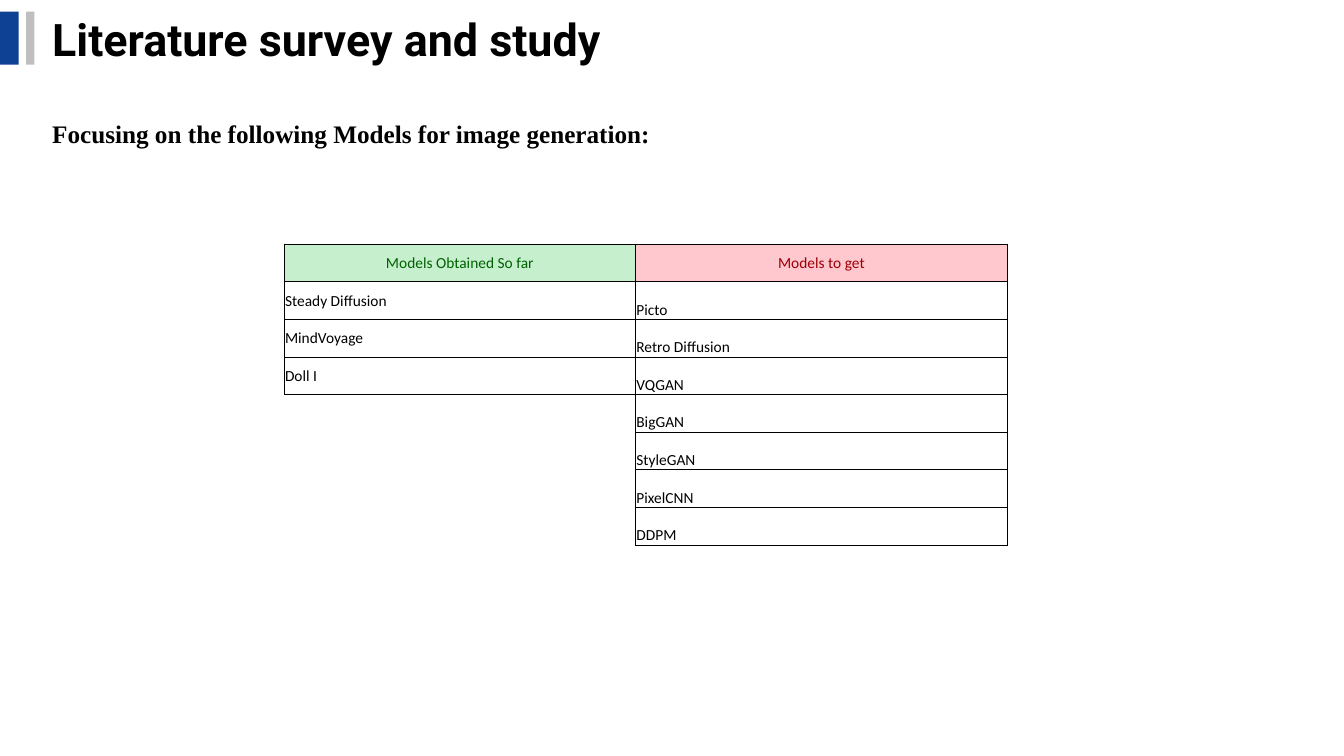
from lxml import etree
from pptx import Presentation
from pptx.dml.color import RGBColor
from pptx.enum.shapes import MSO_SHAPE
from pptx.enum.text import MSO_ANCHOR, PP_ALIGN
from pptx.oxml.ns import qn
from pptx.util import Pt

RECTANGLE = MSO_SHAPE.RECTANGLE
TOP, MIDDLE, BOTTOM = MSO_ANCHOR.TOP, MSO_ANCHOR.MIDDLE, MSO_ANCHOR.BOTTOM
CENTER = PP_ALIGN.CENTER


def color(hex_value):
    return RGBColor.from_string(hex_value)


def add_run(paragraph, text, size, font, hex_value, bold=False):
    run = paragraph.add_run()
    run.text = text
    run.font.size = Pt(size)
    run.font.name = font
    run.font.bold = bold
    run.font.color.rgb = color(hex_value)


prs = Presentation()
prs.slide_width = Pt(960)
prs.slide_height = Pt(540)
slide = prs.slides.add_slide(prs.slide_layouts[6])

for left, width, fill in [(0, 13.4, "0E4094"), (18.7, 5.9, "BFBFBF")]:
    accent = slide.shapes.add_shape(RECTANGLE, Pt(left), Pt(8.3), Pt(width), Pt(37.9))
    accent.shadow.inherit = False
    accent.fill.solid()
    accent.fill.fore_color.rgb = color(fill)
    accent.line.fill.background()

headings = [
    ("Literature survey and study", 4.3, 740, 46, 32, "Roboto", MIDDLE),
    ("Focusing on the following Models for image generation:",
     80.8, 497, 29, 18, "Times New Roman", TOP),
]
for text, top, width, height, size, font, anchor in headings:
    heading = slide.shapes.add_textbox(Pt(30.2), Pt(top), Pt(width), Pt(height)).text_frame
    heading.word_wrap = True
    heading.vertical_anchor = anchor
    add_run(heading.paragraphs[0], text, size, font, "000000", True)

obtained = ["Models Obtained So far", "Steady Diffusion", "MindVoyage", "Doll I"]
to_get = ["Models to get", "Picto", "Retro Diffusion", "VQGAN", "BigGAN", "StyleGAN",
          "PixelCNN", "DDPM"]
columns = [
    (obtained, 251, "C6EFCE", "006100", MIDDLE),
    (to_get, 265.6, "FFC7CE", "9C0006", BOTTOM),
]
row_height = 26.88

models = slide.shapes.add_table(
    len(to_get), 2, Pt(203), Pt(174.3), Pt(516.6), Pt(row_height * len(to_get))).table
models.first_row = False
models.horz_banding = False
for row in models.rows:
    row.height = Pt(row_height)

for col, (names, width, header_fill, header_color, anchor) in enumerate(columns):
    models.columns[col].width = Pt(width)
    for row in range(len(to_get)):
        cell = models.cell(row, col)
        cell.margin_left = cell.margin_right = cell.margin_top = Pt(0.6)
        cell.margin_bottom = Pt(0)
        filled = row < len(names)

        edges = "LRTB" if filled else "RT" if row == len(names) else "R"
        properties = cell._tc.get_or_add_tcPr()
        for edge in "LRTB":
            border = etree.SubElement(properties, qn(f"a:ln{edge}"), w=str(Pt(0.5)))
            if edge in edges:
                paint = etree.SubElement(border, qn("a:solidFill"))
                etree.SubElement(paint, qn("a:srgbClr"), val="000000")
            else:
                etree.SubElement(border, qn("a:noFill"))

        if row == 0:
            cell.fill.solid()
            cell.fill.fore_color.rgb = color(header_fill)
        else:
            cell.fill.background()
        if filled:
            cell.vertical_anchor = MIDDLE if row == 0 else anchor
            paragraph = cell.text_frame.paragraphs[0]
            if row == 0:
                paragraph.alignment = CENTER
            add_run(paragraph, names[row], 11, "Calibri",
                    header_color if row == 0 else "000000")

prs.save("out.pptx")
